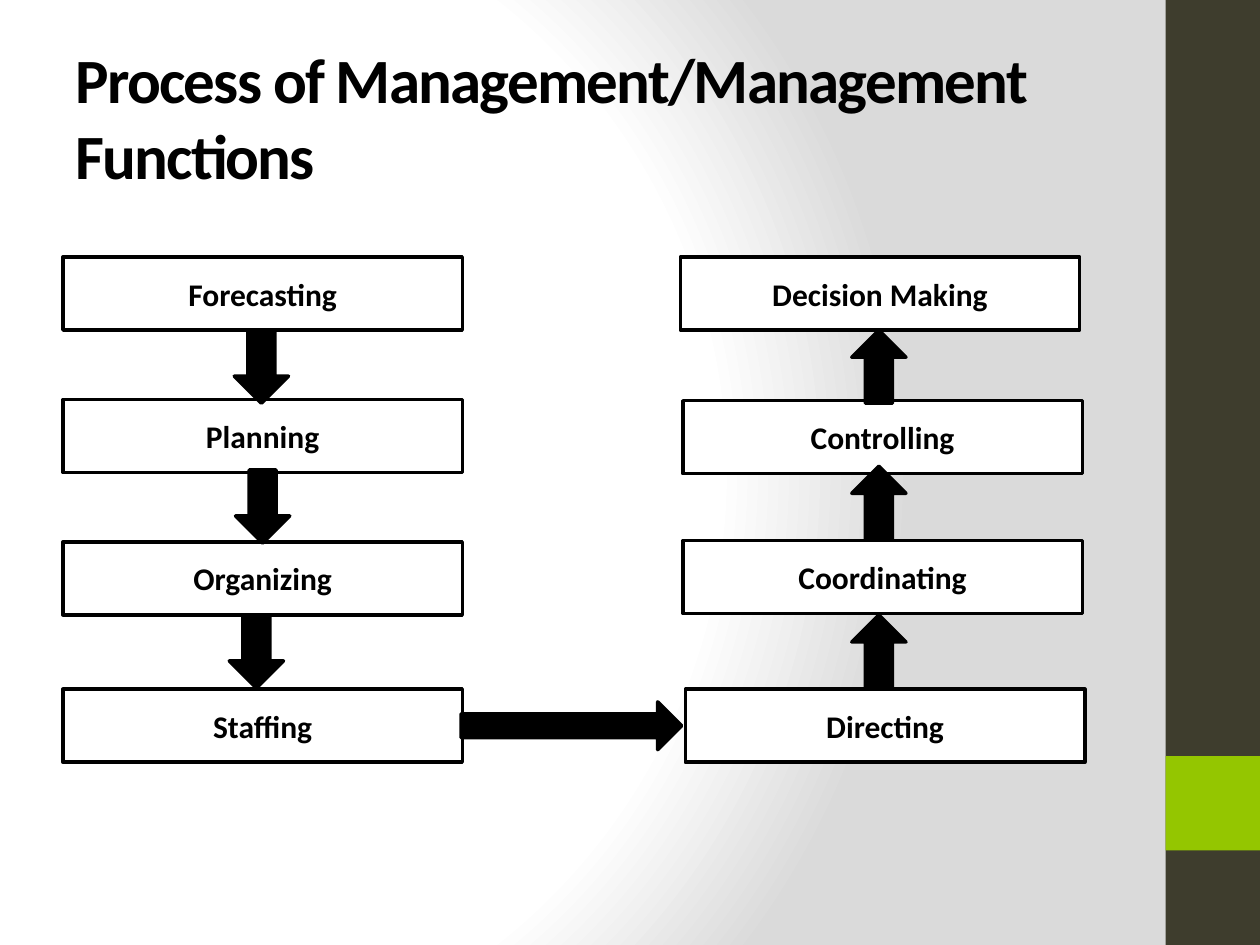
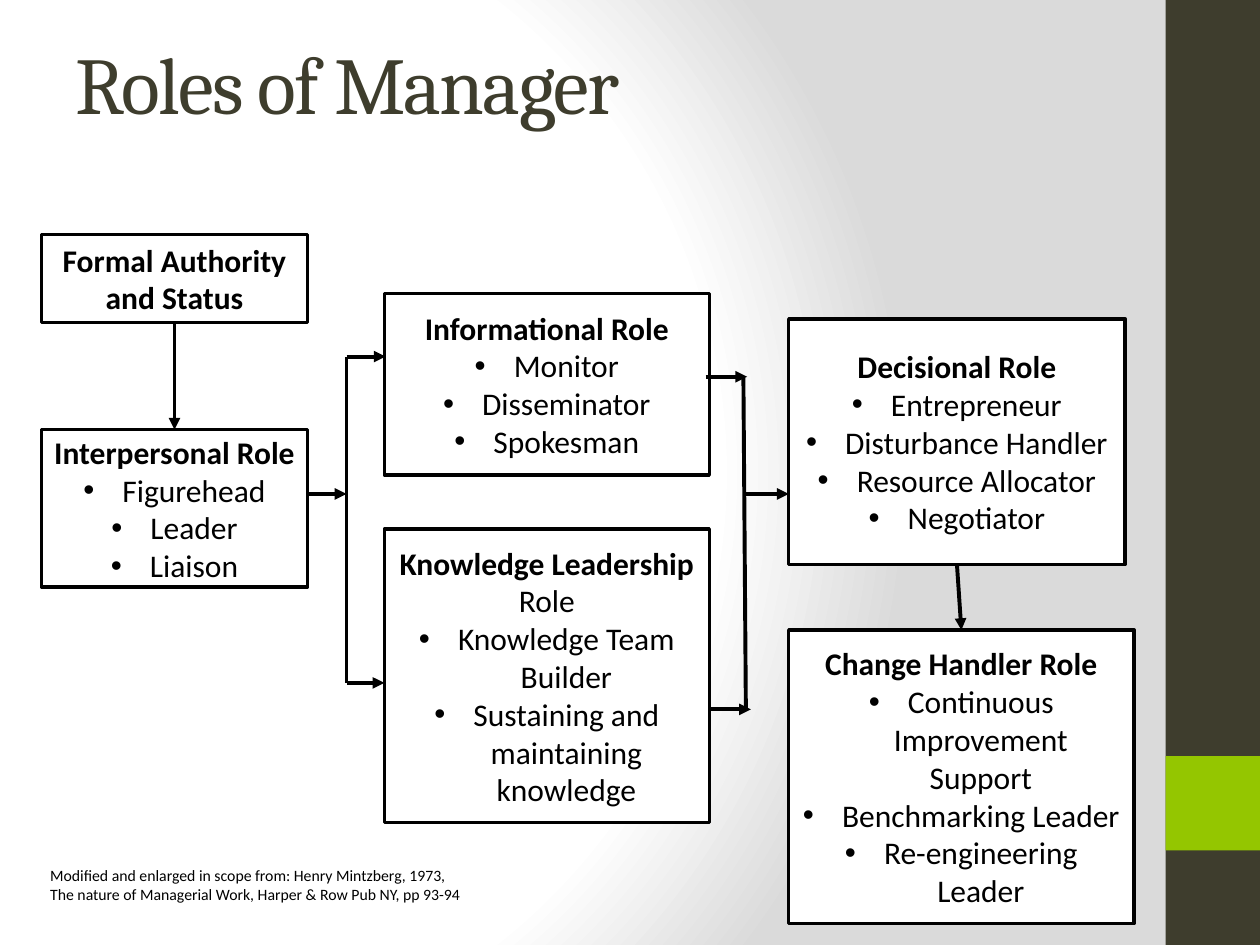
from dataclasses import dataclass
from lxml import etree
from pptx import Presentation
from pptx.dml.color import RGBColor as RGB
from pptx.enum.shapes import MSO_CONNECTOR as LINK, MSO_SHAPE as FORM
from pptx.enum.text import MSO_ANCHOR as ANCHOR, MSO_AUTO_SIZE as FIT, PP_ALIGN as ALIGN
from pptx.oxml import parse_xml
from pptx.oxml.ns import nsdecls, qn
from pptx.util import Inches, Pt

COLS, ROWS = 100, 75
TOP, LEFT, BOTTOM, RIGHT = range(4)


@dataclass(frozen=True)
class Theme:
    ink: str = "000000"
    paper: str = "FFFFFF"
    shade: str = "DADADA"
    band: str = "3E3D2D"
    accent: str = "94C600"
    sans: str = "Calibri"
    serif: str = "Cambria"
    body: int = 18
    note: int = 9
    edge: float = 2
    wire: float = 2.25


def put(item, values):
    for name, value in values.items():
        setattr(item, name, value)


def tag(parent, name, **attrs):
    return etree.SubElement(parent, qn(name), attrs)


class Deck:
    def __init__(self, theme):
        self.theme = theme
        self.file = Presentation()
        put(self.file, {"slide_width": Inches(10), "slide_height": Inches(7.5)})
        self.col = self.file.slide_width / COLS
        self.row = self.file.slide_height / ROWS

    def spot(self, x, y):
        return round(x * self.col), round(y * self.row)

    def frame(self, x, y, w, h):
        return self.spot(x, y) + self.spot(w, h)

    # Shared ground and side bands
    def page(self):
        look = self.theme
        self.slide = self.file.slides.add_slide(self.file.slide_layouts[6])
        stops = ((0, look.paper), (75, look.paper), (100, look.shade))
        marks = "".join(f'<a:gs pos="{at * 1000}"><a:srgbClr val="{hue}"/></a:gs>'
                        for at, hue in stops)
        ground = parse_xml(
            f'<p:bg {nsdecls("p", "a")}><p:bgPr><a:gradFill rotWithShape="1">'
            f'<a:gsLst>{marks}</a:gsLst><a:path path="circle">'
            '<a:fillToRect l="20000" t="50000" r="100000" b="50000"/></a:path>'
            '</a:gradFill><a:effectLst/></p:bgPr></p:bg>')
        self.slide.element.find(qn("p:cSld")).insert(0, ground)
        self.shape(FORM.RECTANGLE, (92.5, 0, 7.5, 75), look.band)
        self.shape(FORM.RECTANGLE, (92.5, 60, 7.5, 7.5), look.accent)

    def shape(self, form, area, fill, edge=False, turn=0):
        item = self.slide.shapes.add_shape(form, *self.frame(*area))
        item.shadow.inherit = False
        item.rotation = turn
        item.fill.solid()
        item.fill.fore_color.rgb = RGB.from_string(fill)
        if edge:
            self.stroke(item, self.theme.edge)
        else:
            item.line.fill.background()
        return item

    def stroke(self, item, width):
        item.line.width = Pt(width)
        item.line.color.rgb = RGB.from_string(self.theme.ink)
        pen = item.element.spPr.find(qn("a:ln"))
        tag(pen, "a:round")
        return pen

    # Text
    def run(self, para, text, size, bold=False, face=None, hue=None, track=0):
        part = para.add_run()
        part.text = text
        put(part.font, {"size": Pt(size), "bold": bold, "name": face or self.theme.sans})
        part.font.color.rgb = RGB.from_string(hue or self.theme.ink)
        if track:
            part.font._element.set("spc", str(track * 100))

    def text(self, area, anchor):
        body = self.slide.shapes.add_textbox(*self.frame(*area)).text_frame
        put(body, {"word_wrap": True, "vertical_anchor": anchor})
        return body

    def title(self, text, high, size, **style):
        body = self.text((5, 3, 83.3, high), ANCHOR.MIDDLE)
        self.run(body.paragraphs[0], text, size, track=-1, **style)

    def note(self, area, lines):
        body = self.text(area, ANCHOR.TOP)
        body.auto_size = FIT.SHAPE_TO_FIT_TEXT
        for i, line in enumerate(lines):
            para = body.add_paragraph() if i else body.paragraphs[0]
            self.run(para, line, self.theme.note)

    # Framed box: bold head, plain tail, bulleted items
    def box(self, area, head, items=(), tail=""):
        look = self.theme
        item = self.shape(FORM.RECTANGLE, area, look.paper, edge=True)
        body = item.text_frame
        put(body, {"word_wrap": True, "vertical_anchor": ANCHOR.MIDDLE})
        para = body.paragraphs[0]
        para.alignment = ALIGN.CENTER
        self.run(para, head, look.body, bold=True)
        if tail:
            self.run(para, tail, look.body)
        for entry in items:
            para = body.add_paragraph()
            para.alignment = ALIGN.CENTER
            props = para._p.get_or_add_pPr()
            gap = Inches(0.31)
            put_in = {"marL": gap, "indent": -gap}
            for name, value in put_in.items():
                props.set(name, str(value))
            tag(props, "a:buFont", typeface="Arial")
            tag(props, "a:buChar", char="•")
            self.run(para, entry, look.body)
        return item

    # Lines and arrows
    def block(self, form, area, turn=0):
        self.shape(form, area, self.theme.ink, edge=True, turn=turn)

    def wire(self, start, end, tip=True):
        item = self.slide.shapes.add_connector(
            LINK.STRAIGHT, *self.spot(*start), *self.spot(*end))
        pen = self.stroke(item, self.theme.wire)
        if tip:
            tag(pen, "a:tailEnd", type="triangle")
        tag(item.element.spPr, "a:effectLst")
        return item

    def join(self, upper, lower):
        item = self.wire((0, 0), (1, 1))
        item.begin_connect(upper, BOTTOM)
        item.end_connect(lower, TOP)


def process(deck):
    deck.page()
    deck.title("Process of Management/Management Functions", 12.5, 36,
               bold=True, hue=deck.theme.ink)
    # Steps: left column runs down, right column runs up
    steps = (
        ("Forecasting", 5, 20.4), ("Planning", 5, 31.7),
        ("Organizing", 5, 43), ("Staffing", 5, 54.7),
        ("Directing", 54.4, 54.7), ("Coordinating", 54.2, 42.9),
        ("Controlling", 54.2, 31.8), ("Decision Making", 54, 20.4))
    for name, x, y in steps:
        deck.box((x, y, 31.7, 5.8), name)
    # Arrows between the steps
    for x, y in ((18.6, 26.2), (18.7, 37.3), (18.2, 48.8)):
        deck.block(FORM.DOWN_ARROW, (x, y, 4.3, 5.8))
    for y in (48.8, 37, 26.2):
        deck.block(FORM.DOWN_ARROW, (67.6, y, 4.3, 5.8), turn=180)
    deck.block(FORM.RIGHT_ARROW, (36.6, 55.7, 17.5, 3.8))


def roles(deck):
    deck.page()
    deck.title("Roles of Manager", 7, 46, face=deck.theme.serif, hue=deck.theme.band)
    # Role boxes
    formal = deck.box((3.3, 18.6, 21.1, 7), "Formal Authority and Status")
    social = deck.box((3.3, 34.1, 21.1, 12.5), "Interpersonal Role",
                      ("Figurehead", "Leader", "Liaison"))
    deck.box((30.5, 23.3, 25.8, 14.4), "Informational Role",
             ("Monitor", "Disseminator", "Spokesman"))
    deck.box((30.5, 42, 25.8, 23.3), "Knowledge Leadership ",
             ("Knowledge Team Builder", "Sustaining and maintaining knowledge"),
             tail="Role")
    choice = deck.box((62.6, 25.3, 26.7, 19.5), "Decisional Role",
                      ("Entrepreneur", "Disturbance Handler",
                       "Resource Allocator", "Negotiator"))
    change = deck.box((62.6, 50, 27.4, 23.3), "Change Handler Role",
                      ("Continuous Improvement Support", "Benchmarking Leader",
                       "Re-engineering Leader"))
    # Links
    deck.join(formal, social)
    deck.join(choice, change)
    arrows = (
        ((24.4, 39.2), (27.5, 39.2)), ((59.2, 39.2), (62.6, 39.2)),
        ((27.5, 28.3), (30.6, 28.3)), ((27.5, 54.2), (30.5, 54.2)),
        ((56, 29.9), (59.3, 29.9)), ((56.3, 56.3), (59.6, 56.3)))
    for start, end in arrows:
        deck.wire(start, end)
    for start, end in (((27.5, 28.3), (27.5, 54.2)), ((59, 30), (59.2, 56.4))):
        deck.wire(start, end, tip=False)
    # Source
    deck.note((3, 68.2, 35.4, 4), (
        "Modified and enlarged in scope from: Henry Mintzberg, 1973,",
        "The nature of Managerial Work, Harper & Row Pub NY, pp 93-94"))


def main():
    deck = Deck(Theme())
    process(deck)
    roles(deck)
    deck.file.save("out.pptx")


if __name__ == "__main__":
    main()
